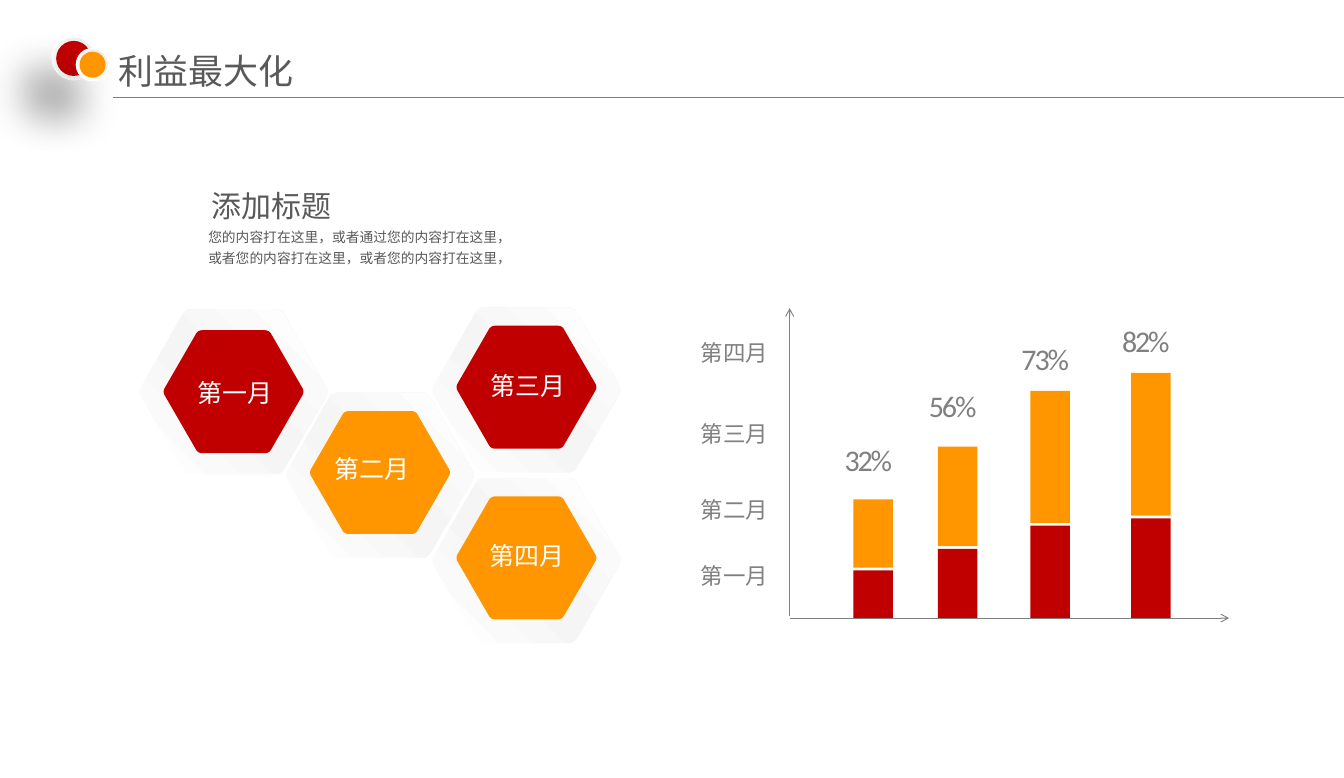
from math import cos, pi, sin

from lxml.etree import SubElement
from pptx import Presentation
from pptx.dml.color import RGBColor
from pptx.enum.shapes import MSO_CONNECTOR, MSO_SHAPE
from pptx.enum.text import MSO_ANCHOR
from pptx.oxml import parse_xml
from pptx.oxml.ns import nsdecls, qn
from pptx.util import Inches, Pt

CJK, LATIN = "Noto Sans CJK SC", "Calibri"
RED, ORANGE, WHITE = "C00000", "FF9600", "FFFFFF"
DARK, GRAY = "595959", "808080"
MONTHS = ["第一月", "第二月", "第三月", "第四月"]


def color(hex_code):
    return RGBColor.from_string(hex_code)


def paint(shape, fill):
    """Flat fill without outline or shadow."""
    shape.fill.solid()
    shape.fill.fore_color.rgb = color(fill)
    shape.line.fill.background()
    shape.shadow.inherit = False


def paint_gradient(shape, stops, angle):
    """Linear gradient, angle in degrees clockwise."""
    shape.line.fill.background()
    shape.shadow.inherit = False
    stop_xml = "".join(
        f'<a:gs pos="{position * 1000}"><a:srgbClr val="{code}"/></a:gs>'
        for position, code in stops)
    gradient = parse_xml(
        f'<a:gradFill {nsdecls("a")} rotWithShape="1"><a:gsLst>{stop_xml}</a:gsLst>'
        f'<a:lin ang="{angle * 60000}" scaled="0"/></a:gradFill>')
    shape.element.spPr.insert(2, gradient)  # directly after the geometry


def add_soft_shadow(shape):
    effects = shape.element.spPr.find(qn("a:effectLst"))
    effects.append(parse_xml(
        f'<a:outerShdw {nsdecls("a")} blurRad="{Pt(36)}" dist="{Pt(35)}" '
        f'dir="{130 * 60000}" algn="tr" rotWithShape="0">'
        '<a:srgbClr val="000000"><a:alpha val="38000"/></a:srgbClr></a:outerShdw>'))


def add_label(slide, text, box, size, code, font=CJK, inset=(0.1, 0.05),
              line_spacing=None, tracking=None):
    label = slide.shapes.add_textbox(*map(Inches, box))
    frame = label.text_frame
    frame.word_wrap = True
    frame.margin_left = frame.margin_right = Inches(inset[0])
    frame.margin_top = frame.margin_bottom = Inches(inset[1])
    frame.text = text
    paragraph = frame.paragraphs[0]
    if line_spacing:
        paragraph.line_spacing = line_spacing
    run = paragraph.runs[0]
    run.font.size = Pt(size)
    run.font.color.rgb = color(code)
    run.font.name = font
    properties = run.font._element
    SubElement(properties, qn("a:ea")).set("typeface", font)
    if tracking:
        properties.set("spc", str(int(tracking * 100)))
    return label


def add_line(slide, start, end, arrow=False):
    line = slide.shapes.add_connector(
        MSO_CONNECTOR.STRAIGHT, *map(Inches, (*start, *end)))
    line.line.color.rgb = color(GRAY)
    line.line.width = Pt(0.75)
    if arrow:
        SubElement(line.line._ln, qn("a:tailEnd")).set("type", "arrow")
    SubElement(line.element.spPr, qn("a:effectLst"))


def add_circle(slide, center_x, center_y, diameter):
    return slide.shapes.add_shape(
        MSO_SHAPE.OVAL, Inches(center_x - diameter / 2),
        Inches(center_y - diameter / 2), Inches(diameter), Inches(diameter))


def add_hexagon(slide, center_x, center_y, radius):
    """Regular hexagon with flat top and slightly rounded corners."""
    corners = [(center_x + radius * cos(k * pi / 3),
                center_y + radius * sin(k * pi / 3)) for k in range(6)]
    rounding, steps = 0.06, 6
    outline = []
    for k, corner in enumerate(corners):
        enter, leave = (
            [c + (n - c) * rounding for c, n in zip(corner, neighbour)]
            for neighbour in (corners[k - 1], corners[(k + 1) % 6]))
        for step in range(steps + 1):
            t = step / steps
            outline.append(tuple(
                Inches((1 - t) ** 2 * a + 2 * t * (1 - t) * c + t ** 2 * b)
                for a, c, b in zip(enter, corner, leave)))
    builder = slide.shapes.build_freeform(*outline[0], scale=1.0)
    builder.add_line_segments(outline[1:], close=True)
    return builder.convert_to_shape()


def header(slide, left, top):
    add_line(slide, (left + 0.68, top + 0.68), (14.96, top + 0.68))
    for dx, dy, rim, core, code in [(0.24, 0.24, 0.48, 0.39, RED),
                                    (0.45, 0.31, 0.36, 0.29, ORANGE)]:
        ring = add_circle(slide, left + dx, top + dy, rim)
        paint_gradient(ring, [(0, "EBEBEB"), (100, "FEFEFE")], 126)
        ring.line.color.rgb = color(WHITE)
        ring.line.width = Pt(1)
        add_soft_shadow(ring)
        paint(add_circle(slide, left + dx, top + dy, core), code)
    title = add_label(slide, "利益最大化", (left + 0.6, top + 0.06, 5.2, 0.63),
                      28, DARK, inset=(0.14, 0.07))
    title.text_frame.vertical_anchor = MSO_ANCHOR.MIDDLE


def bar_diagram(slide, left, base):
    """Stacked bars on two arrow axes that meet at (left, base)."""
    bar_width, gap, foot = 0.44, 0.03, base + 0.01
    for value, center, red, orange, rise in [("32%", 0.93, 0.54, 0.76, 0.71),
                                             ("56%", 1.87, 0.78, 1.11, 0.72),
                                             ("73%", 2.9, 1.04, 1.47, 0.62),
                                             ("82%", 4.02, 1.12, 1.59, 0.62)]:
        bar_left = left + center - bar_width / 2
        bar_top = foot - red - gap - orange
        for top, height, code in [(foot - red, red, RED), (bar_top, orange, ORANGE)]:
            paint(slide.shapes.add_shape(
                MSO_SHAPE.RECTANGLE,
                *map(Inches, (bar_left, top, bar_width, height))), code)
        add_label(slide, value, (left + center - 0.43, bar_top - rise, 0.82, 0.52),
                  24, GRAY, LATIN, inset=(0.11, 0.06), tracking=-1.7)
    add_line(slide, (left, base), (left + 4.89, base), arrow=True)
    add_line(slide, (left, base - 0.02), (left, base - 3.45), arrow=True)
    for month, rise in zip(MONTHS, [0.67, 1.41, 2.25, 3.16]):
        add_label(slide, month, (left - 1.09, base - rise, 1.09, 0.4), 18, GRAY)


def honeycomb(slide, left, top):
    cells = [(1.07, 0.95, 0, RED, -0.5, -0.21),
             (2.7, 1.88, -0.03, ORANGE, -0.6, -0.29),
             (4.33, 0.93, -0.03, RED, -0.5, -0.26),
             (4.33, 2.83, -0.03, ORANGE, -0.51, -0.27)]
    for month, (dx, dy, core_shift, code, text_dx, text_dy) in zip(MONTHS, cells):
        x, y = left + dx, top + dy
        paint(add_hexagon(slide, x, y, 1.07), WHITE)
        paint_gradient(add_hexagon(slide, x, y, 1.06),
                       [(0, WHITE), (47, "F5F5F5"), (100, WHITE)], 315)
        paint(add_hexagon(slide, x, y + core_shift, 0.79), code)
        add_label(slide, month, (x + text_dx, y + text_dy, 1.3, 0.44), 20, WHITE)


def introduction(slide, left, top):
    add_label(slide, "您的内容打在这里，或者通过您的内容打在这里，"
              "或者您的内容打在这里，或者您的内容打在这里，",
              (left, top + 0.55, 3.57, 0.56), 11, DARK, line_spacing=1.3)
    add_label(slide, "添加标题", (left + 0.04, top, 1.55, 0.53), 24, DARK,
              inset=(0.1, 0), line_spacing=1.5)


def main():
    presentation = Presentation()
    presentation.slide_width = Inches(14.96)
    presentation.slide_height = Inches(8.66)
    slide = presentation.slides.add_slide(presentation.slide_layouts[6])
    header(slide, 0.58, 0.41)
    bar_diagram(slide, 8.79, 6.88)
    honeycomb(slide, 1.53, 3.41)
    introduction(slide, 2.22, 1.89)
    presentation.save("out.pptx")


if __name__ == "__main__":
    main()
